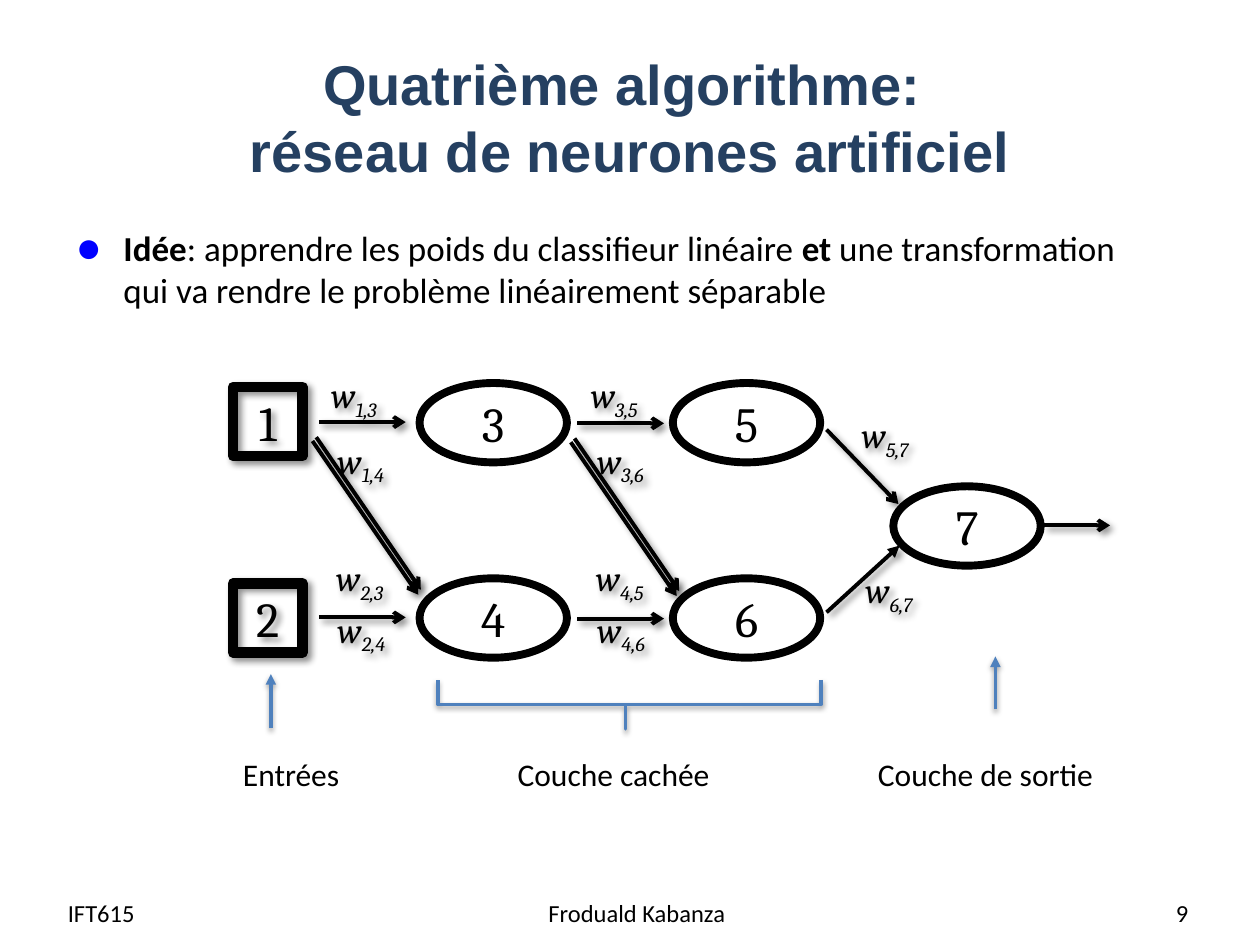
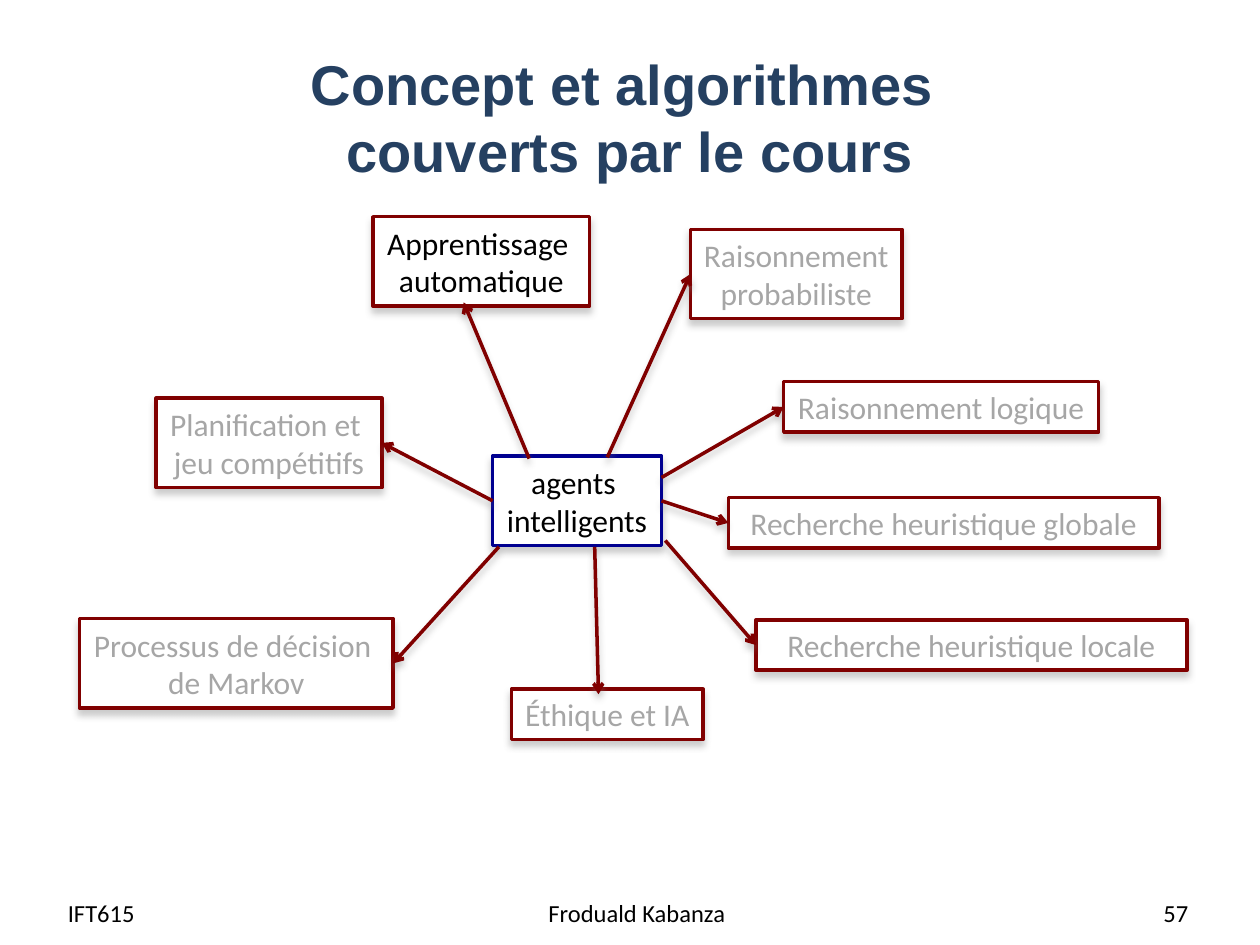
"""Build two course slides: a neural network diagram and a map of course topics."""
from lxml.etree import SubElement
from pptx import Presentation
from pptx.dml.color import RGBColor
from pptx.enum.shapes import MSO_CONNECTOR, MSO_SHAPE
from pptx.enum.text import MSO_ANCHOR, MSO_AUTO_SIZE, PP_ALIGN
from pptx.oxml.ns import qn
from pptx.util import Inches, Pt

BLACK, WHITE, GREY = "000000", "FFFFFF", "A6A6A6"
NAVY, BLUE, STEEL, DARK_BLUE, MAROON = "254061", "0000FF", "4F81BD", "000090", "800000"
DIAGONAL_SHADOW = (BLACK, 43, 4, 3, 45)
SOFT_SHADOW = (BLACK, 38, 3.1, 1.6, 90)
GREY_SHADOW = ("808080", 40, 4, 3, 90)

presentation = Presentation()
presentation.slide_width, presentation.slide_height = Inches(10), Inches(7.5)
unit = presentation.slide_width // 100


def draw(slide, kind, area, color=None, width=0, shadow=None, arrow=None, fill=None):
    """Draw a text box, a line (from, to) or a preset shape on a 100 by 75 grid."""
    lengths = [round(value * unit) for value in area]
    if kind == "text":
        shape = slide.shapes.add_textbox(*lengths)
    elif kind == "line":
        shape = slide.shapes.add_connector(MSO_CONNECTOR.STRAIGHT, *lengths)
    else:
        shape = slide.shapes.add_shape(kind, *lengths)
        shape.fill.background()
    if fill:
        shape.fill.solid()
        shape.fill.fore_color.rgb = RGBColor.from_string(fill)
    if color:
        shape.line.color.rgb = RGBColor.from_string(color)
        shape.line.width = Pt(width)
    if arrow:
        SubElement(shape.line._get_or_add_ln(), qn("a:tailEnd"), type=arrow)
    effects = SubElement(shape._element.spPr, qn("a:effectLst"))
    if shadow:
        shadow_color, alpha, blur, distance, angle = shadow
        outer = SubElement(effects, qn("a:outerShdw"), blurRad=str(Pt(blur)), dist=str(Pt(distance)),
                           dir=str(angle * 60000), algn="ctr", rotWithShape="0")
        tint = SubElement(outer, qn("a:srgbClr"), val=shadow_color)
        SubElement(tint, qn("a:alpha"), val=str(alpha * 1000))
    return shape


def write(frame, paragraphs, size, font="Calibri", color=BLACK, align=PP_ALIGN.LEFT,
          wrap=True, anchor=MSO_ANCHOR.MIDDLE):
    """Fill a text frame with paragraphs of (text, style) runs."""
    frame.word_wrap, frame.vertical_anchor = wrap, anchor
    for index, runs in enumerate(paragraphs):
        paragraph = frame.add_paragraph() if index else frame.paragraphs[0]
        paragraph.alignment = align
        for text, style in runs:
            if text == "\n":
                paragraph.add_line_break()
                SubElement(paragraph._p[-1], qn("a:rPr"), sz=str(size * 100))
                continue
            run = paragraph.add_run()
            run.text = text
            run.font.name, run.font.size = font, Pt(size)
            run.font.bold, run.font.italic = style == "bold", style in ("italic", "subscript")
            run.font.color.rgb = RGBColor.from_string(color)
            if style == "subscript":
                run._r.get_or_add_rPr().set("baseline", "-25000")


network = presentation.slides.add_slide(presentation.slide_layouts[1])
topic_map = presentation.slides.add_slide(presentation.slide_layouts[5])

headings = [
    (network, "Quatrième algorithme: ", "réseau de neurones artificiel", "9"),
    (topic_map, "Concept et algorithmes ", "couverts par le cours", "57"),
]
for slide, first_line, second_line, number in headings:
    title = slide.shapes.title
    title.left, title.top, title.width, title.height = 5 * unit, 3 * unit, 90 * unit, int(12.5 * unit)
    write(title.text_frame, [[(first_line, "bold"), ("\n", ""), (second_line, "bold")]],
          32, "Arial", NAVY, PP_ALIGN.CENTER)
    for text, left, width, align in [
        ("IFT615", 4.4, 19.3, PP_ALIGN.LEFT),
        ("Froduald Kabanza", 34.7, 31.7, PP_ALIGN.CENTER),
        (number, 72, 23.3, PP_ALIGN.RIGHT),
    ]:
        footer = draw(slide, "text", (left, 70.4, width, 4))
        write(footer.text_frame, [[(text, "")]], 14, align=align)

body = network.placeholders[1]
body.left, body.top, body.width, body.height = 5 * unit, int(17.5 * unit), int(86.9 * unit), int(7.6 * unit)
paragraph = body.text_frame.paragraphs[0]
properties = paragraph._p.get_or_add_pPr()
properties.set("marL", str(Inches(0.38)))
properties.set("indent", str(-Inches(0.38)))
bullet_color = SubElement(properties, qn("a:buClr"))
SubElement(bullet_color, qn("a:srgbClr"), val=BLUE)
SubElement(properties, qn("a:buSzPct"), val="125000")
SubElement(properties, qn("a:buChar"), char="●")
paragraph.space_before = Pt(0)
write(body.text_frame, [[
    ("Idée", "bold"),
    (": apprendre les poids du classifieur linéaire ", ""),
    ("et", "bold"),
    (" une transformation qui va rendre le problème linéairement séparable", ""),
]], 20, anchor=MSO_ANCHOR.TOP)

for digit, left, top in [("3", 33.3, 30.4), ("4", 33.3, 45.9), ("5", 53.4, 30.4),
                         ("6", 53.4, 45.9), ("7", 70.9, 38.6)]:
    neuron = draw(network, MSO_SHAPE.OVAL, (left, top, 11.7, 6.3), BLACK, 4.5)
    write(neuron.text_frame, [[(digit, "")]], 28, "Cambria", align=PP_ALIGN.CENTER)

for digit, top in [("1", 30.7), ("2", 46.3)]:
    entry = draw(network, MSO_SHAPE.RECTANGLE, (18.5, top, 5.5, 5.5), BLACK, 6, DIAGONAL_SHADOW)
    write(entry.text_frame, [[(digit, "")]], 28, "Cambria", align=PP_ALIGN.CENTER)

for shift, drop in [(0, 0), (20.5, 0.1)]:
    for x1, y1, x2, y2 in [(25.3, 33.5, 32.2, 33.5), (25.3, 49, 32.2, 49),
                           (24.8, 35, 33.2, 47.2), (25.1, 34.7, 33.4, 46.8)]:
        ends = (x1 + shift, y1 + drop, x2 + shift, y2 + drop)
        draw(network, "line", ends, BLACK, 2.25, DIAGONAL_SHADOW, "arrow")

for ends, arrow in [((65.6, 34.1, 71.3, 40), "arrow"),
                    ((65.6, 48.6, 71.4, 43.3), "triangle"),
                    ((82.8, 41.7, 88.1, 41.7), "arrow")]:
    draw(network, "line", ends, BLACK, 2.25, DIAGONAL_SHADOW, arrow)

weights = [
    ("1,3", 25.3, 29.6), ("1,4", 25.8, 34.8), ("2,3", 25.7, 44.1), ("2,4", 25.8, 48.2),
    ("3,5", 45.9, 29.6), ("3,6", 46.4, 34.8), ("4,5", 46.3, 44.1), ("4,6", 46.4, 48.2),
    ("5,7", 67.4, 32.8), ("6,7", 67.7, 45.1),
]
for indices, left, top in weights:
    weight = draw(network, "text", (left, top, 6.1, 3.9), shadow=DIAGONAL_SHADOW)
    write(weight.text_frame, [[("w", "italic"), (indices, "subscript")]], 20, "Cambria", wrap=False)
    weight.text_frame.auto_size = MSO_AUTO_SIZE.SHAPE_TO_FIT_TEXT

for x, bottom, top in [(21.5, 57.8, 53.5), (79, 56.3, 52.1)]:
    draw(network, "line", (x, bottom, x, top), STEEL, 2, SOFT_SHADOW, "triangle")
brace = draw(network, MSO_SHAPE.LEFT_BRACE, (48, 40.7, 3.9, 30.4), STEEL, 2, SOFT_SHADOW)
brace.rotation = 270
brace.adjustments[0], brace.adjustments[1] = 0, 0.49

for text, left, width in [("Entrées", 18.3, 9.7), ("Couche cachée", 40.1, 17.5),
                          ("Couche de sortie", 68.7, 19.3)]:
    caption = draw(network, "text", (left, 59.4, width, 4))
    write(caption.text_frame, [[(text, "")]], 18, wrap=False)
    caption.text_frame.auto_size = MSO_AUTO_SIZE.SHAPE_TO_FIT_TEXT

hub = draw(topic_map, MSO_SHAPE.RECTANGLE, (39.1, 36.2, 13.4, 7.1), DARK_BLUE, 2, GREY_SHADOW, fill=WHITE)
write(hub.text_frame, [[("agents ", "")], [("intelligents", "")]], 18, align=PP_ALIGN.CENTER, wrap=False)

topics = [
    (["Raisonnement", "probabiliste"], GREY, (54.8, 18.2, 16.8, 7.1), (48.2, 36.3, 54.8, 21.7), None, 1),
    (["Apprentissage ", "automatique"], BLACK, (29.6, 17.2, 17.2, 7.1), (42, 36.4, 36.8, 24), None, None),
    (["Raisonnement logique"], GREY, (62.2, 30.3, 25, 4), (52.5, 37.9, 62.2, 32.3), None, 1),
    (["Processus de décision ", "de Markov"], GREY, (6.3, 49.1, 24.9, 7.1), (39.6, 43.4, 31.2, 52.6), None, 3),
    (["Planification et ", "jeu compétitifs"], GREY, (12.4, 31.6, 17.9, 7.1), (39.1, 39.7, 30.3, 35.1), 1, 3),
    (["Recherche heuristique locale"], GREY, (60, 49.2, 34.2, 4), (52.8, 42.9, 60, 51.2), None, 1),
    (["Recherche heuristique globale"], GREY, (57.8, 39.5, 34.2, 4), (52.5, 39.7, 57.8, 41.5), 3, 1),
    (["Éthique et IA"], GREY, (40.6, 54.7, 15.2, 4), (47.2, 43.4, 47.5, 55.1), None, None),
]
for lines, color, area, ends, hub_side, topic_side in topics:
    topic = draw(topic_map, MSO_SHAPE.RECTANGLE, area, MAROON, 2, GREY_SHADOW, fill=WHITE)
    write(topic.text_frame, [[(line, "")] for line in lines], 18, color=color,
          align=PP_ALIGN.CENTER, wrap=False)
    spoke = draw(topic_map, "line", ends, MAROON, 2, GREY_SHADOW, "arrow")
    if hub_side is not None:
        spoke.begin_connect(hub, hub_side)
    if topic_side is not None:
        spoke.end_connect(topic, topic_side)

presentation.save("out.pptx")
